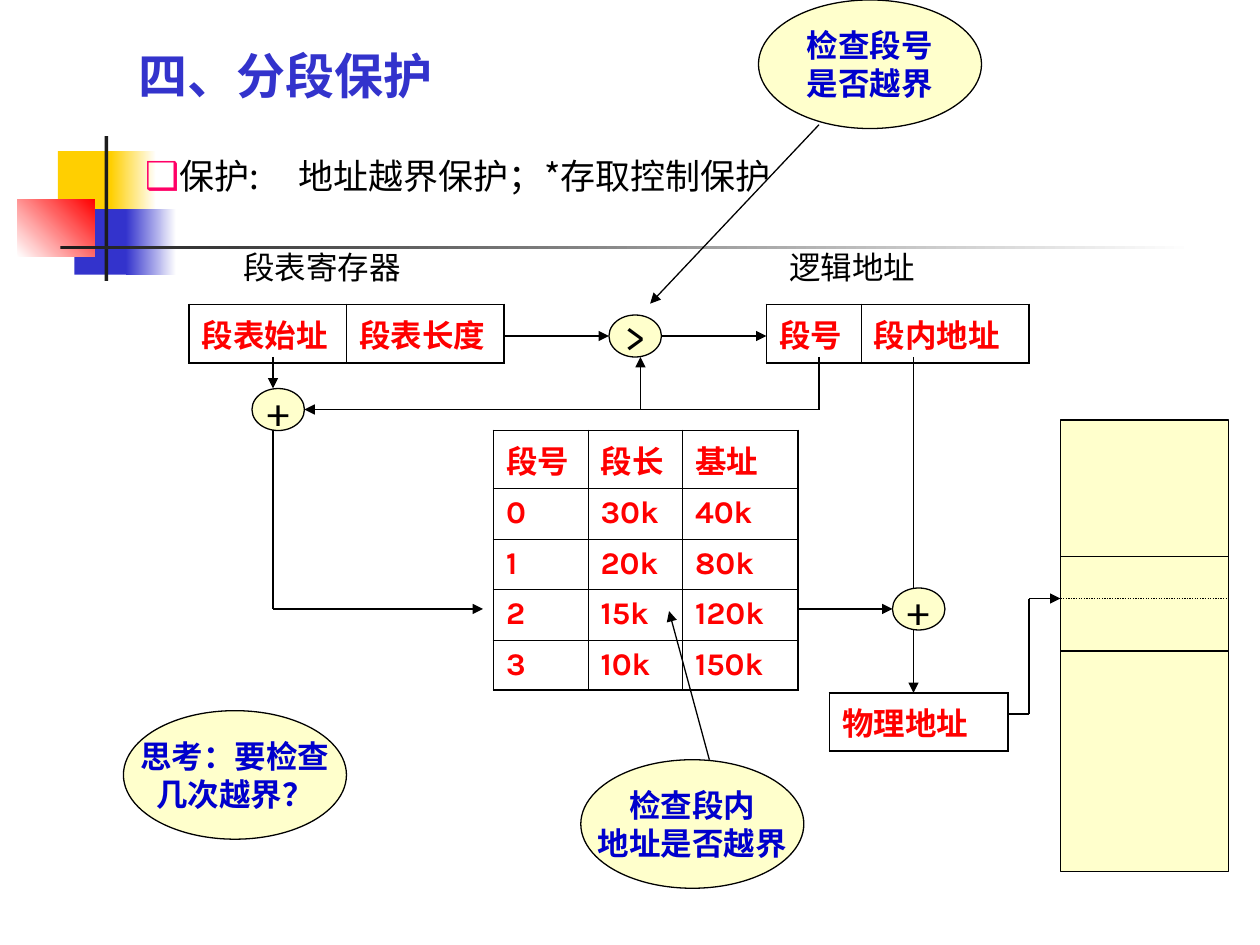
from dataclasses import dataclass

from lxml import etree
from pptx import Presentation
from pptx.dml.color import RGBColor
from pptx.enum.dml import MSO_LINE
from pptx.enum.shapes import MSO_CONNECTOR, MSO_SHAPE
from pptx.enum.text import MSO_ANCHOR, MSO_AUTO_SIZE, PP_ALIGN
from pptx.oxml.ns import qn
from pptx.util import Inches, Pt

RECT, OVAL = MSO_SHAPE.RECTANGLE, MSO_SHAPE.OVAL
STRAIGHT, DOTS = MSO_CONNECTOR.STRAIGHT, MSO_LINE.ROUND_DOT
LEFT, CENTER = PP_ALIGN.LEFT, PP_ALIGN.CENTER
MIDDLE, BOTTOM, TOP = MSO_ANCHOR.MIDDLE, MSO_ANCHOR.BOTTOM, MSO_ANCHOR.TOP
FIXED, GROW = MSO_AUTO_SIZE.NONE, MSO_AUTO_SIZE.SHAPE_TO_FIT_TEXT


@dataclass(frozen=True)
class Theme:
    # colours
    white: str = "FFFFFF"
    black: str = "000000"
    dark: str = "1C1C1C"
    gold: str = "FFCF01"
    blue: str = "3333CC"
    red: str = "FF0000"
    cream: str = "FFFFCC"
    note: str = "0000CC"
    pink: str = "FF0066"
    # fonts, type sizes and line widths
    main: str = "Karla"
    serif: str = "Times New Roman"
    cjk: str = "Noto Sans CJK SC"
    head: int = 28
    sign: int = 24
    list: int = 20
    base: int = 18
    line: float = 0.75
    edge: float = 1.08
    rule: float = 0.45


T = Theme()
ROW = 4.8  # table row height in grid units


def unit(n):
    """Length of n grid units, twelve to the inch."""
    return Inches(n / 12)


def color(code):
    return RGBColor.from_string(code)


def style(frame, size, ink, font=T.main, bold=False, align=LEFT):
    for para in frame.paragraphs:
        para.alignment = align
        for run in para.runs:
            run.font.name, run.font.size = font, Pt(size)
            run.font.bold, run.font.color.rgb = bold, color(ink)


def add_shape(slide, kind, box, fill, line=None):
    shape = slide.shapes.add_shape(kind, *map(unit, box))
    shape.shadow.inherit = False
    if isinstance(fill, tuple):
        start, end, angle = fill
        shape.fill.gradient()
        shape.fill.gradient_angle = angle
        for stop, code, spot in zip(shape.fill.gradient_stops, (start, end), (0, 1)):
            stop.color.rgb, stop.position = color(code), spot
    else:
        shape.fill.solid()
        shape.fill.fore_color.rgb = color(fill)
    if line:
        shape.line.color.rgb, shape.line.width = color(line), Pt(T.line)
    else:
        shape.line.fill.background()
    return shape


def add_oval(slide, box, text, size, ink, font=T.main, bold=False):
    frame = add_shape(slide, OVAL, box, T.cream, T.black).text_frame
    frame.word_wrap, frame.vertical_anchor = False, MIDDLE
    frame.text = text
    style(frame, size, ink, font, bold, CENTER)


def add_wire(slide, *points, arrow=True, dash=None):
    """Straight lines from point to point, with a head on the last one."""
    for start, end in zip(points, points[1:]):
        wire = slide.shapes.add_connector(STRAIGHT, *map(unit, start + end))
        wire.line.color.rgb, wire.line.width = color(T.black), Pt(T.line)
        if dash:
            wire.line.dash_style = dash
        props = wire.element.spPr
        if arrow and end == points[-1]:
            etree.SubElement(props.find(qn("a:ln")), qn("a:tailEnd"), type="triangle")
        etree.SubElement(props, qn("a:effectLst"))


def add_label(slide, x, y, text):
    frame = slide.shapes.add_textbox(*map(unit, (x, y, 19, ROW))).text_frame
    frame.word_wrap, frame.auto_size = True, GROW
    frame.text = text
    style(frame, T.base, T.black)


def add_border(cell, side, width):
    line = etree.SubElement(cell._tc.get_or_add_tcPr(), qn("a:ln" + side), w=str(Pt(width)))
    fill = etree.SubElement(line, qn("a:solidFill"))
    etree.SubElement(fill, qn("a:srgbClr"), val=T.black)


def add_grid(slide, x, y, cols, rows):
    box = map(unit, (x, y, sum(cols), ROW * len(rows)))
    table = slide.shapes.add_table(len(rows), len(cols), *box).table
    table.first_row = table.horz_banding = False
    for col, wide in zip(table.columns, cols):
        col.width = unit(wide)
    for r, row in enumerate(rows):
        for c, text in enumerate(row):
            cell = table.cell(r, c)
            outer = {"L": c == 0, "R": c == len(cols) - 1,
                     "T": r == 0, "B": r == len(rows) - 1}
            for side, edge in outer.items():
                add_border(cell, side, T.edge if edge else T.rule)
            cell.fill.background()
            cell.text = text
            style(cell.text_frame, T.base, T.red, bold=True)


def place(slide, holder, box, text, anchor):
    """Fill a placeholder and bring it to the front."""
    holder.left, holder.top, holder.width, holder.height = map(Inches, box)
    slide.shapes.element.append(holder.element)
    frame = holder.text_frame
    frame.auto_size, frame.vertical_anchor = FIXED, anchor
    frame.text = text
    return frame


def add_bullet(para, tab):
    props = para._p.get_or_add_pPr()
    props.set("marL", "0")
    props.set("indent", "0")
    ink = etree.SubElement(props, qn("a:buClr"))
    etree.SubElement(ink, qn("a:srgbClr"), val=T.pink)
    etree.SubElement(props, qn("a:buSzPct"), val="110000")
    etree.SubElement(props, qn("a:buChar"), char="❑")
    tabs = etree.SubElement(props, qn("a:tabLst"))
    etree.SubElement(tabs, qn("a:tab"), pos=str(Inches(tab)), algn="l")


def add_decor(slide):
    for box, fill in (
        ((5.52, 14.4, 5.76, 6.24), T.gold),
        ((10.56, 14.4, 4.32, 6.24), (T.gold, T.white, 0)),
        ((7.08, 19.92, 5.52, 6.24), T.blue),
        ((12, 19.92, 4.8, 6.24), (T.blue, T.white, 0)),
        ((1.68, 18.96, 7.32, 5.52), (T.white, T.red, 45)),
        ((9.96, 12.96, 0.36, 13.8), T.dark),
        ((5.76, 23.4, 108, 0.36), (T.dark, T.white, 0)),
    ):
        add_shape(slide, RECT, box, fill)


def main():
    deck = Presentation()
    deck.slide_width, deck.slide_height = Inches(10), Inches(7.5)
    slide = deck.slides.add_slide(deck.slide_layouts[1])
    title, body = slide.placeholders
    add_decor(slide)

    # Registers, segment table and physical address
    add_grid(slide, 79, 66, [17], [["物理地址"]])
    add_grid(slide, 18, 29, [15, 15], [["段表始址", "段表长度"]])
    add_grid(slide, 73, 29, [9, 16], [["段号", "段内地址"]])
    add_grid(slide, 47, 41, [9, 9, 11], [
        ["段号", "段长", "基址"], ["0", "30k", "40k"], ["1", "20k", "80k"],
        ["2", "15k", "120k"], ["3", "10k", "150k"]])
    add_label(slide, 22, 23, "段表寄存器")
    add_label(slide, 74, 23, "逻辑地址")

    # Memory block with its segment bounds
    add_shape(slide, RECT, (101, 40, 16, 43), T.cream, T.black)
    for y, dash in ((53, None), (57, DOTS), (62, None)):
        add_wire(slide, (101, y), (117, y), arrow=False, dash=dash)

    # Operators and data flow
    for x, y, sign in ((58, 30, ">"), (24, 37, "+"), (85, 56, "+")):
        add_oval(slide, (x, y, 5, 4), sign, T.sign, T.black)
    add_wire(slide, (48, 32), (58, 32))
    add_wire(slide, (63, 32), (73, 32))
    add_wire(slide, (78, 34), (78, 39), (29, 39))
    add_wire(slide, (61, 39), (61, 34))
    add_wire(slide, (26, 34), (26, 37))
    add_wire(slide, (26, 41), (26, 58), (46, 58))
    add_wire(slide, (87, 34), (87, 56), arrow=False)
    add_wire(slide, (76, 58), (85, 58))
    add_wire(slide, (87, 60), (87, 66))
    add_wire(slide, (96, 68), (98, 68), (98, 57), (101, 57))

    # Callouts
    for x, y, text in ((55.32, 72.36, "检查段内\n地址是否越界"),
                       (11.76, 67.68, "思考：要检查\n几次越界？"),
                       (72.24, 0, "检查段号\n是否越界")):
        add_oval(slide, (x, y, 21.24, 12.24), text, T.base, T.note, T.serif, True)
    add_wire(slide, (78, 11.88), (61.92, 28.92))
    add_wire(slide, (67.56, 72.36), (63.72, 58.2))

    # Title and list
    frame = place(slide, title, (1, 0.05, 5.08, 0.83), "四、分段保护", BOTTOM)
    style(frame, T.head, T.blue, bold=True)
    frame = place(slide, body, (1.05, 1.18, 7.25, 0.44),
                  "保护:\t地址越界保护；*存取控制保护", TOP)
    add_bullet(frame.paragraphs[0], 1.22)
    frame.paragraphs[0].space_before = Pt(0)
    style(frame, T.list, T.black, T.cjk)

    deck.save("out.pptx")


if __name__ == "__main__":
    main()
